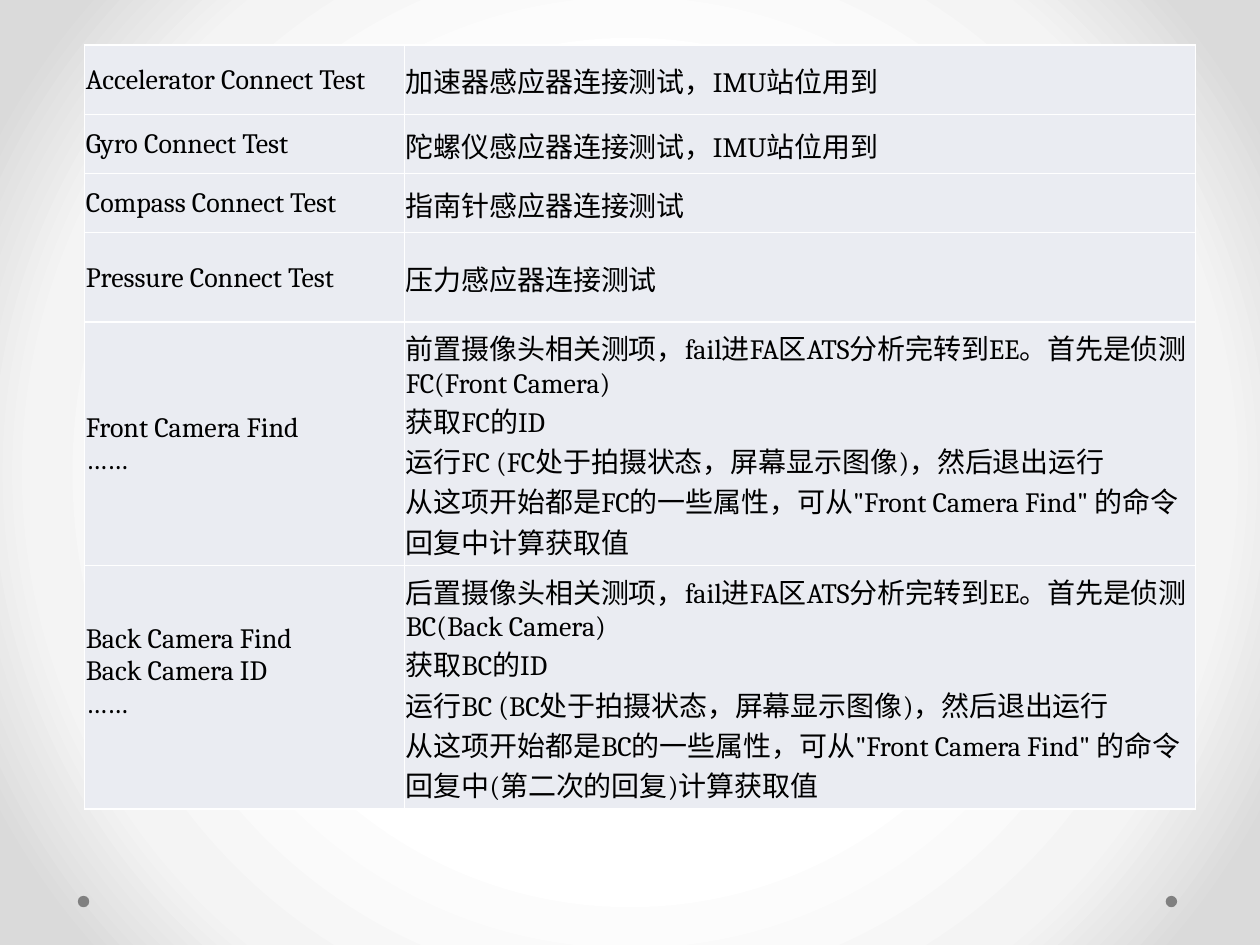
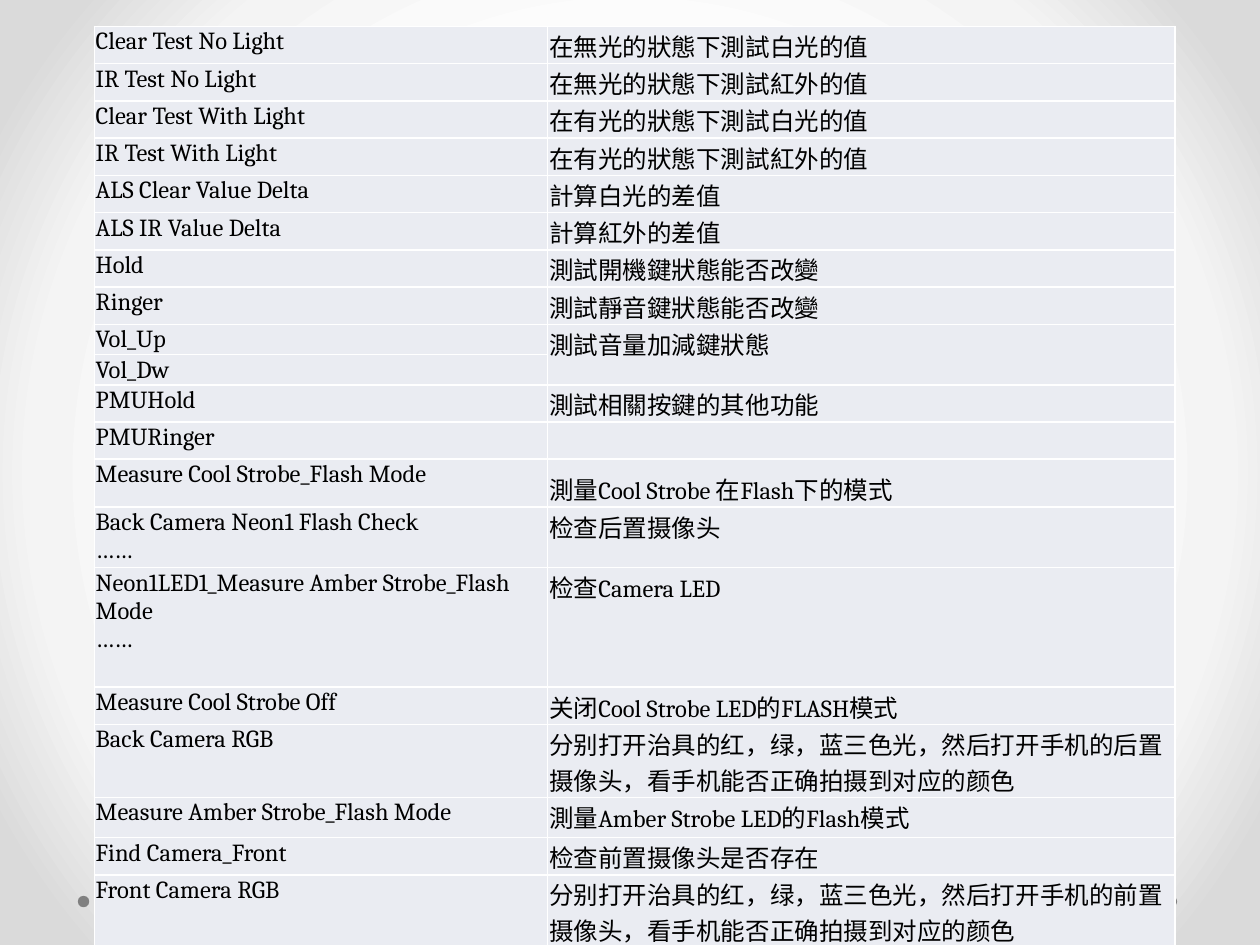
import copy
from dataclasses import dataclass

import pptx
import pptx.dml.color
import pptx.enum.shapes
import pptx.enum.text
import pptx.oxml
import pptx.oxml.ns
import pptx.util
from lxml import etree

Cm = pptx.util.Cm
Anchor = pptx.enum.text.MSO_ANCHOR
qn = pptx.oxml.ns.qn


@dataclass(frozen=True)
class Theme:
    font: str = "Cambria"
    text: str = "000000"
    cell: str = "EAECF2"
    border: str = "FFFFFF"
    dot: str = "808080"
    backdrop: tuple = ((50, "FFFFFF"), (76, "F4F4F4"), (92, "DADADA"))
    large: int = 16
    small: int = 14
    border_width: int = 1


@dataclass
class TestItem:
    """One table row; a meaning of None continues the cell above."""
    height: float
    name: str
    meaning: str | None
    name_bottom: float = 0
    meaning_anchor: Anchor | None = None


def rgb(value):
    return pptx.dml.color.RGBColor.from_string(value)


class Deck:
    def __init__(self, theme):
        self.theme = theme
        self.prs = pptx.Presentation()
        self.prs.slide_width, self.prs.slide_height = Cm(25.4), Cm(19.05)
        self.slide = None

    def new_slide(self):
        self.slide = self.prs.slides.add_slide(self.prs.slide_layouts[6])
        self.backdrop()
        for left in (23.5, 1.57):
            self.dot(left, 18.06, 0.23)

    def backdrop(self):
        """Radial gradient, white in the middle."""
        self.slide.background.fill.gradient()
        gradient = self.slide.element.find(".//" + qn("a:gradFill"))
        for child in list(gradient):
            gradient.remove(child)
        stops = etree.SubElement(gradient, qn("a:gsLst"))
        for position, color in self.theme.backdrop:
            stop = etree.SubElement(stops, qn("a:gs"), pos=str(position * 1000))
            etree.SubElement(stop, qn("a:srgbClr"), val=color)
        circle = etree.SubElement(gradient, qn("a:path"), path="circle")
        etree.SubElement(circle, qn("a:fillToRect"),
                         {side: "50000" for side in "ltrb"})

    def dot(self, left, top, size):
        dot = self.slide.shapes.add_shape(
            pptx.enum.shapes.MSO_SHAPE.OVAL, Cm(left), Cm(top), Cm(size), Cm(size))
        dot.shadow.inherit = False
        dot.fill.solid()
        dot.fill.fore_color.rgb = rgb(self.theme.dot)
        dot.line.fill.background()

    def run(self, paragraph, text, size):
        run = paragraph.add_run()
        run.text = text
        run.font.name = self.theme.font
        run.font.size = pptx.util.Pt(size)
        run.font.color.rgb = rgb(self.theme.text)
        return run

    def cell_text(self, cell, text, size):
        """Set each line as a run, with breaks as tall as the text."""
        paragraph = cell.text_frame.paragraphs[0]
        for number, line in enumerate(text.split("\n")):
            if number:
                paragraph.add_line_break()
            run = self.run(paragraph, line, size)
        for line_break in paragraph._p.findall(qn("a:br")):
            line_break.insert(0, copy.deepcopy(run._r.find(qn("a:rPr"))))

    def style_cell(self, cell, anchor, bottom=0):
        cell.margin_left = cell.margin_right = cell.margin_top = Cm(0.03)
        cell.margin_bottom = Cm(bottom)
        cell.vertical_anchor = anchor
        properties = cell._tc.get_or_add_tcPr()
        width = str(pptx.util.Pt(self.theme.border_width))
        for side in "LRTB":
            line = etree.SubElement(properties, qn(f"a:ln{side}"), w=width)
            fill = etree.SubElement(line, qn("a:solidFill"))
            etree.SubElement(fill, qn("a:srgbClr"), val=self.theme.border)
        cell.fill.solid()
        cell.fill.fore_color.rgb = rgb(self.theme.cell)

    def test_table(self, left, top, widths, items, size, anchor):
        height = sum(item.height for item in items)
        table = self.slide.shapes.add_table(
            len(items), 2, Cm(left), Cm(top), Cm(sum(widths)), Cm(height)).table
        table.first_row = table.horz_banding = False
        for column, width in zip(table.columns, widths):
            column.width = Cm(width)
        for row, item in enumerate(items):
            table.rows[row].height = Cm(item.height)
            name, meaning = table.cell(row, 0), table.cell(row, 1)
            self.style_cell(name, anchor, item.name_bottom)
            self.style_cell(meaning, item.meaning_anchor or anchor)
            self.cell_text(name, item.name, size)
            if item.meaning is None:
                table.cell(row - 1, 1).merge(meaning)
            else:
                self.cell_text(meaning, item.meaning, size)


def camera_meaning(side, code, name, reply=""):
    return (f"{side}摄像头相关测项，fail进FA区ATS分析完转到EE。首先是侦测{code}({name})\n"
            f"获取{code}的ID\n"
            f"运行{code} ({code}处于拍摄状态，屏幕显示图像)，然后退出运行\n"
            f"从这项开始都是{code}的一些属性，可从\"Front Camera Find\" "
            f"的命令回复中{reply}计算获取值")


def rgb_meaning(side):
    return (f"分别打开治具的红，绿，蓝三色光，然后打开手机的{side}摄像头，"
            "看手机能否正确拍摄到对应的颜色")


LINE = 0.61  # lowest row on the second slide

CONNECT_TESTS = [
    TestItem(1.4, "Accelerator Connect Test", "加速器感应器连接测试，IMU站位用到"),
    TestItem(1.19, "Gyro Connect Test", "陀螺仪感应器连接测试，IMU站位用到"),
    TestItem(1.19, "Compass Connect Test", "指南针感应器连接测试"),
    TestItem(1.8, "Pressure Connect Test", "压力感应器连接测试"),
    TestItem(3.56, "Front Camera Find\n……",
             camera_meaning("前置", "FC", "Front Camera")),
    TestItem(3.56, "Back Camera Find\nBack Camera ID\n……",
             camera_meaning("后置", "BC", "Back Camera", "(第二次的回复)"),
             name_bottom=0.65),
]

LIGHT_AND_KEY_TESTS = [
    TestItem(LINE, "Clear Test No Light", "在無光的狀態下測試白光的值"),
    TestItem(LINE, "IR Test No Light", "在無光的狀態下測試紅外的值"),
    TestItem(LINE, "Clear Test With Light", "在有光的狀態下測試白光的值"),
    TestItem(LINE, "IR Test With Light", "在有光的狀態下測試紅外的值"),
    TestItem(LINE, "ALS Clear Value Delta", "計算白光的差值"),
    TestItem(LINE, "ALS IR Value Delta", "計算紅外的差值"),
    TestItem(LINE, "Hold", "測試開機鍵狀態能否改變"),
    TestItem(LINE, "Ringer", "測試靜音鍵狀態能否改變"),
    TestItem(LINE, "Vol_Up", "測試音量加減鍵狀態"),
    TestItem(LINE, "Vol_Dw", None),
    TestItem(LINE, "PMUHold", "測試相關按鍵的其他功能"),
    TestItem(0.74, "PMURinger", ""),
    TestItem(0.97, "Measure Cool Strobe_Flash Mode",
             "測量Cool Strobe 在Flash下的模式", meaning_anchor=Anchor.BOTTOM),
    TestItem(1.22, "Back Camera Neon1 Flash Check\n……", "检查后置摄像头"),
    TestItem(2.41, "Neon1LED1_Measure Amber Strobe_Flash Mode\n……",
             "检查Camera LED"),
    TestItem(LINE, "Measure Cool Strobe Off", "关闭Cool Strobe LED的FLASH模式"),
    TestItem(1.19, "Back Camera RGB", rgb_meaning("后置")),
    TestItem(0.81, "Measure Amber Strobe_Flash Mode",
             "測量Amber Strobe LED的Flash模式"),
    TestItem(LINE, "Find Camera_Front", "检查前置摄像头是否存在"),
    TestItem(1.22, "Front Camera RGB", rgb_meaning("前置")),
]


def main():
    theme = Theme()
    deck = Deck(theme)

    # Sensor connection and camera tests
    deck.new_slide()
    deck.test_table(1.7, 0.91, (6.45, 15.95), CONNECT_TESTS,
                    theme.large, Anchor.MIDDLE)

    # Light, key and strobe tests
    deck.new_slide()
    deck.test_table(1.9, 0.53, (9.14, 12.65), LIGHT_AND_KEY_TESTS,
                    theme.small, Anchor.TOP)

    deck.prs.save("out.pptx")


if __name__ == "__main__":
    main()
